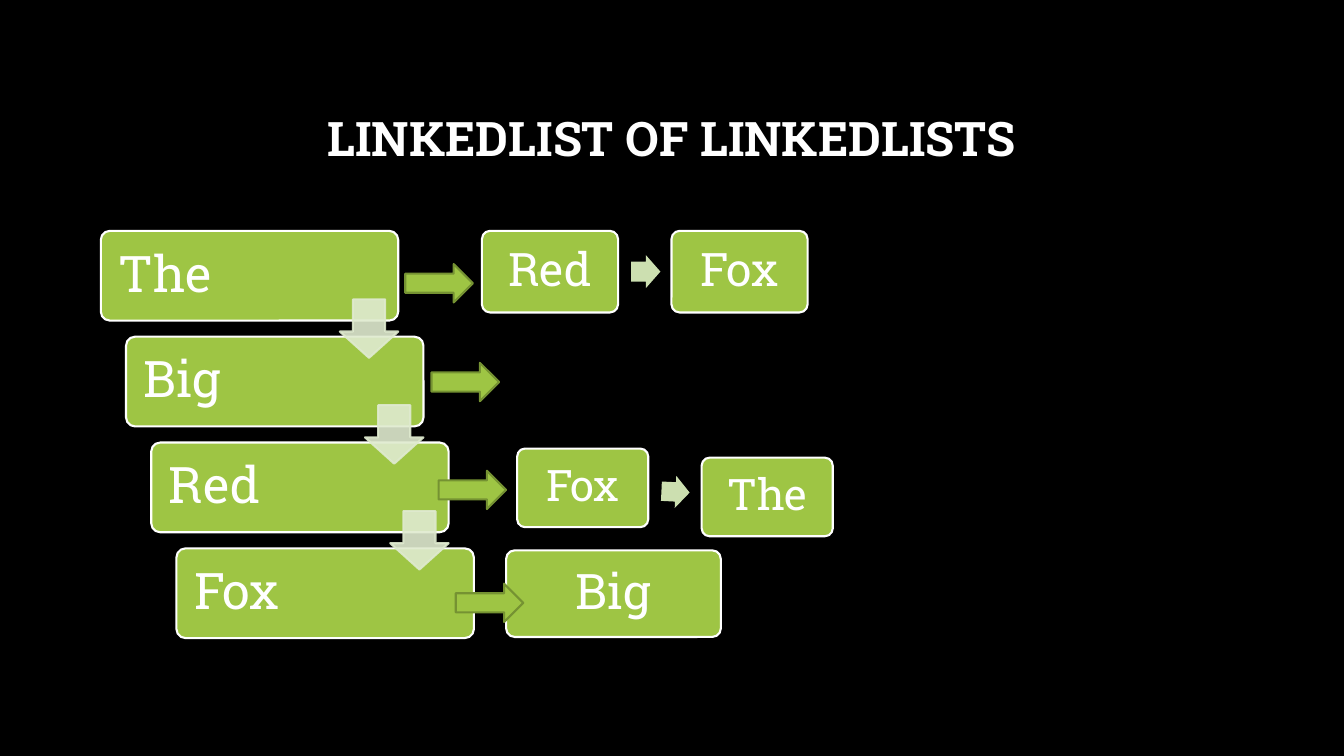
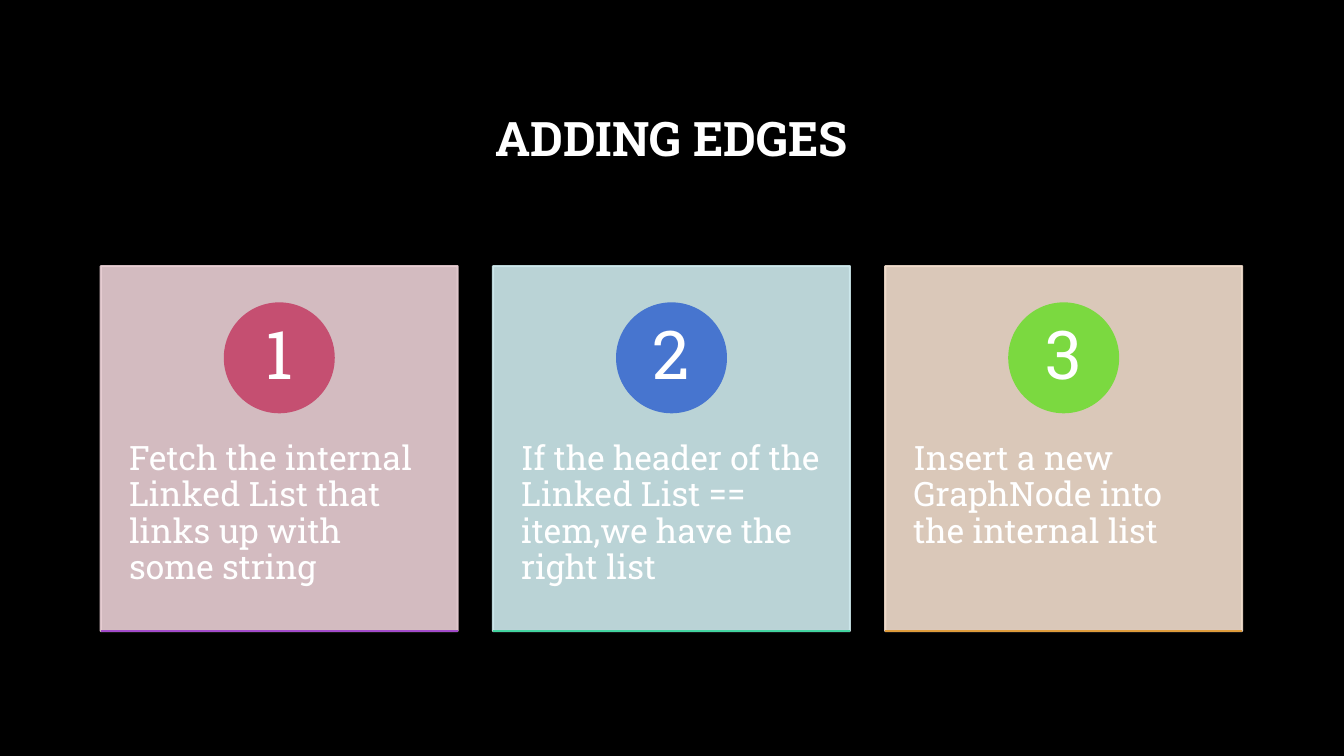
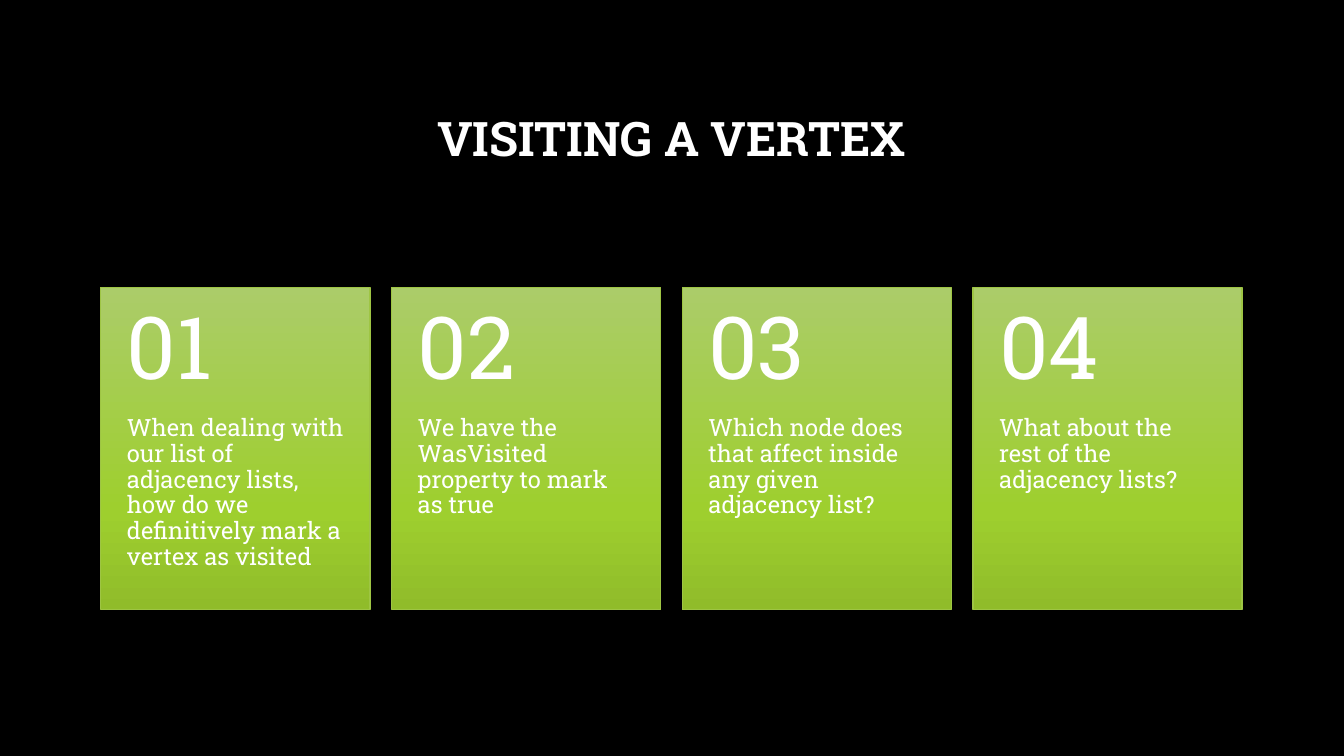
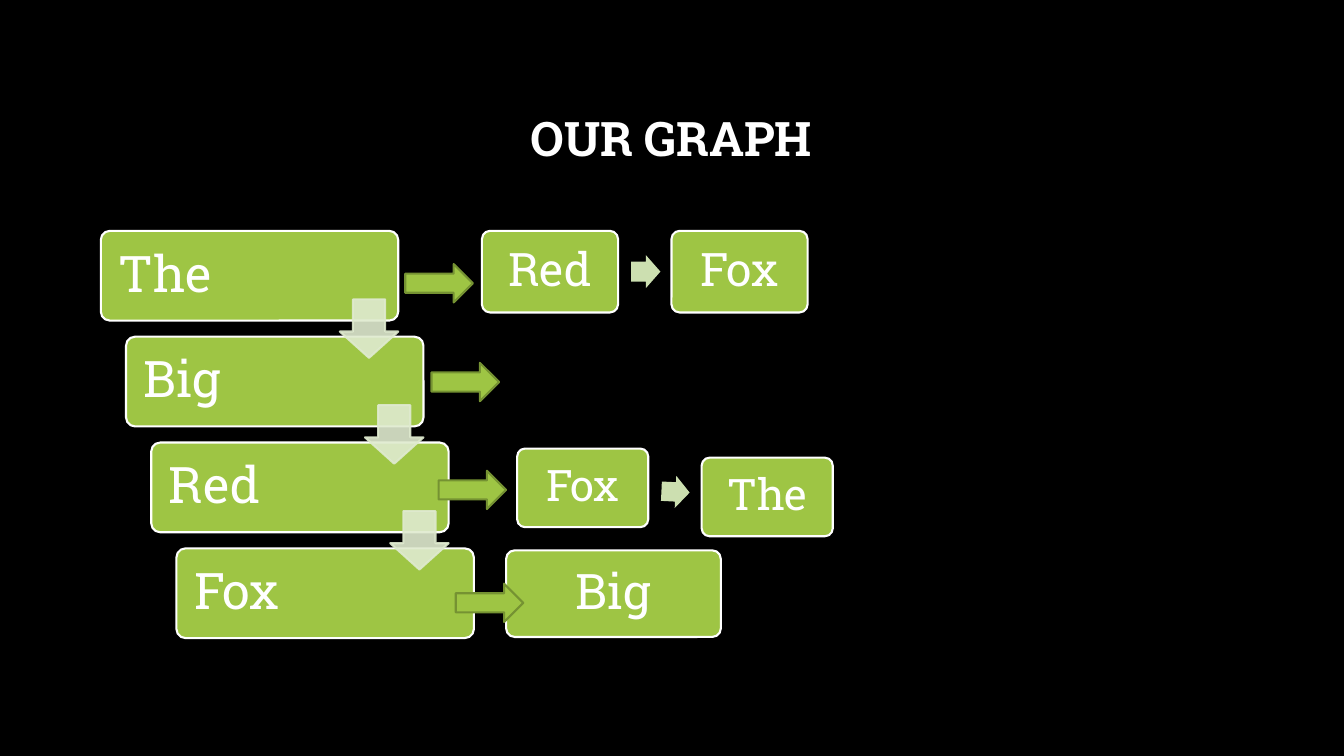
from copy import deepcopy
from dataclasses import dataclass
from typing import Optional

from lxml import etree
from pptx import Presentation
from pptx import slide as s
from pptx import util as u
from pptx.dml import color as c
from pptx.enum import shapes, text
from pptx.oxml import ns
from pptx.shapes import autoshape as a

FONT = "Roboto Slab"
COLORS = {
    "background": "000000",
    "white": "FFFFFF",
    "green": "9EC544",
    "dark_green": "759232",
    "pale_green": "CCDFB0",
    "mist": "DFEACF",
    "gradient_top": "ABCC69",
    "gradient_middle": "9ECF2E",
    "gradient_bottom": "90BC2A",
    "rose": "EAD0D5",
    "raspberry": "C54F71",
    "violet": "A24BCA",
    "ice": "CFEAEE",
    "blue": "4775CF",
    "mint": "43D4A0",
    "sand": "F2DECE",
    "lime": "7BD940",
    "amber": "DE9C3C",
}
CONTENT_LEFT = 1
CONTENT_WIDTH = 11.32
LEFT, CENTER = text.PP_ALIGN.LEFT, text.PP_ALIGN.CENTER
TOP, MIDDLE = text.MSO_ANCHOR.TOP, text.MSO_ANCHOR.MIDDLE
SHAPE = shapes.MSO_SHAPE


@dataclass(frozen=True)
class Box:
    left: float
    top: float
    width: float
    height: float

    def lengths(self) -> list[u.Length]:
        return [u.Inches(value) for value in (self.left, self.top, self.width, self.height)]


@dataclass(frozen=True)
class Look:
    kind: shapes.MSO_SHAPE
    fill: str
    line: Optional[str] = None
    adjustments: tuple[float, ...] = ()
    opacity: int = 100
    line_width: float = 1.5


@dataclass(frozen=True)
class Words:
    size: int
    align: text.PP_ALIGN = LEFT
    anchor: text.MSO_ANCHOR = MIDDLE
    insets: tuple[float, float, float, float] = (0.1, 0.05, 0.1, 0.05)
    bold: bool = False


@dataclass(frozen=True)
class Node:
    label: str
    box: Box
    words: Words


@dataclass(frozen=True)
class Step:
    label: str
    card: str
    badge: str
    underline: str


NODE = Look(SHAPE.ROUNDED_RECTANGLE, "green", "white", (0.1,))
DOWN_ARROW = Look(SHAPE.DOWN_ARROW, "mist", "mist", (0.55, 0.45), 90)
LINK_ARROW = Look(SHAPE.RIGHT_ARROW, "green", "dark_green")
SMALL_ARROW = Look(SHAPE.RIGHT_ARROW, "pale_green", None, (0.6, 0.5))

TITLE = Words(34, CENTER, bold=True)
HEADER_WORDS = Words(36, insets=(0.15,) * 4)
UPPER_WORDS = Words(33, CENTER, insets=(0.14,) * 4)
LOWER_WORDS = Words(31, CENTER, insets=(0.13,) * 4)
WIDE_WORDS = Words(35, CENTER, insets=(0.15,) * 4)
STEP_WORDS = Words(24, anchor=TOP, insets=(0.28, 1.74, 0.28, 0.36))
BADGE_WORDS = Words(48, CENTER, insets=(0.08, 0.01, 0.08, 0.01))
QUESTION_WORDS = Words(17, anchor=TOP, insets=(0.26, 1.28, 0.26, 0.36))
NUMBER_WORDS = Words(62, insets=(0.26, 0.18, 0.26, 0.18))

HEADERS = ["The", "Big", "Red", "Fox"]
LINKED_NODES = [
    Node("Red", Box(4.78, 2.29, 1.35, 0.81), UPPER_WORDS),
    Node("Fox", Box(6.66, 2.29, 1.35, 0.81), UPPER_WORDS),
    Node("Fox", Box(5.13, 4.45, 1.3, 0.78), LOWER_WORDS),
    Node("The", Box(6.96, 4.54, 1.3, 0.78), LOWER_WORDS),
    Node("Big", Box(5.02, 5.46, 2.13, 0.86), WIDE_WORDS),
]
LINK_POSITIONS = [(4.02, 2.62), (4.28, 3.6), (4.35, 4.67), (4.52, 5.79)]
STEPS = [
    Step("Fetch the internal Linked List that links up with some string",
         "rose", "raspberry", "violet"),
    Step("If the header of the Linked List == item,we have the right list",
         "ice", "blue", "mint"),
    Step("Insert a new GraphNode into the internal list",
         "sand", "lime", "amber"),
]
QUESTIONS = [
    "When dealing with our list of adjacency lists, how do we definitively mark a vertex as visited",
    "We have the WasVisited property to mark as true",
    "Which node does that affect inside any given adjacency list?",
    "What about the rest of the adjacency lists?",
]


def rgb(name: str) -> c.RGBColor:
    return c.RGBColor.from_string(COLORS[name])


def assign(target: object, values: dict[str, object]) -> None:
    for name, value in values.items():
        setattr(target, name, value)


def write(shape: a.Shape, label: str, words: Words) -> None:
    frame = shape.text_frame
    left, top, right, bottom = (u.Inches(inset) for inset in words.insets)
    assign(frame, {
        "word_wrap": True,
        "vertical_anchor": words.anchor,
        "margin_left": left,
        "margin_top": top,
        "margin_right": right,
        "margin_bottom": bottom,
    })
    paragraph = frame.paragraphs[0]
    assign(paragraph, {"alignment": words.align, "line_spacing": 0.9})
    run = paragraph.add_run()
    run.text = label
    assign(run.font, {"name": FONT, "size": u.Pt(words.size), "bold": words.bold})
    run.font.color.rgb = rgb("white")


def add_text(slide: s.Slide, box: Box, label: str, words: Words) -> None:
    write(slide.shapes.add_textbox(*box.lengths()), label, words)


def add_shape(slide: s.Slide, box: Box, look: Look) -> a.Shape:
    shape = slide.shapes.add_shape(look.kind, *box.lengths())
    shape.shadow.inherit = False
    for index, value in enumerate(look.adjustments):
        shape.adjustments[index] = value
    shape.fill.solid()
    shape.fill.fore_color.rgb = rgb(look.fill)
    if look.line:
        shape.line.color.rgb = rgb(look.line)
        shape.line.width = u.Pt(look.line_width)
    else:
        shape.line.fill.background()
    if look.opacity < 100:
        for color in shape.element.spPr.iter(ns.qn("a:srgbClr")):
            etree.SubElement(color, ns.qn("a:alpha"), val=str(look.opacity * 1000))
    return shape


def add_underline(slide: s.Slide, left: float, top: float, width: float, color: str) -> None:
    ends = [u.Inches(value) for value in (left, top, left + width, top)]
    connector = slide.shapes.add_connector(shapes.MSO_CONNECTOR.STRAIGHT, *ends)
    connector.line.color.rgb = rgb(color)
    connector.line.width = u.Pt(1.5)
    etree.SubElement(connector.element.spPr, ns.qn("a:effectLst"))


def apply_gradient(shape: a.Shape) -> None:
    shape.fill.gradient()
    shape.fill.gradient_angle = 270
    stop_list = next(shape.element.spPr.iter(ns.qn("a:gsLst")))
    stop_list.append(deepcopy(stop_list[-1]))
    colors = [(0, "gradient_top"), (0.69, "gradient_middle"), (1, "gradient_bottom")]
    for stop, (position, color) in zip(shape.fill.gradient_stops, colors):
        stop.position = position
        stop.color.rgb = rgb(color)


def column_lefts(count: int, width: float) -> list[float]:
    pitch = (CONTENT_WIDTH - width) / (count - 1)
    return [CONTENT_LEFT + index * pitch for index in range(count)]


def add_slide(presentation: Presentation, title: str) -> s.Slide:
    slide = presentation.slides.add_slide(presentation.slide_layouts[6])
    add_text(slide, Box(CONTENT_LEFT, 0.67, CONTENT_WIDTH, 1.45), title, TITLE)
    return slide


def add_node(slide: s.Slide, node: Node) -> None:
    write(add_shape(slide, node.box, NODE), node.label, node.words)


def add_graph_slide(presentation: Presentation, title: str) -> None:
    slide = add_slide(presentation, title)
    across, down = 0.25, 1.05
    for row, label in enumerate(HEADERS):
        box = Box(CONTENT_LEFT + row * across, 2.29 + row * down, 2.95, 0.89)
        add_node(slide, Node(label, box, HEADER_WORDS))
    for row in range(len(HEADERS) - 1):
        add_shape(slide, Box(3.37 + row * across, 2.97 + row * down, 0.58, 0.58), DOWN_ARROW)
    for node in LINKED_NODES:
        add_node(slide, node)
    add_shape(slide, Box(6.26, 2.53, 0.29, 0.33), SMALL_ARROW)
    add_shape(slide, Box(6.56, 4.72, 0.28, 0.32), SMALL_ARROW).rotation = 2.8
    for left, top in LINK_POSITIONS:
        add_shape(slide, Box(left, top, 0.67, 0.38), LINK_ARROW)


def add_steps_slide(presentation: Presentation, title: str) -> None:
    slide = add_slide(presentation, title)
    top, width, height, badge_size = 2.64, 3.54, 3.62, 1.08
    for number, (left, step) in enumerate(zip(column_lefts(len(STEPS), width), STEPS), 1):
        card = Look(SHAPE.RECTANGLE, step.card, step.card, opacity=90)
        write(add_shape(slide, Box(left, top, width, height), card), step.label, STEP_WORDS)
        badge_box = Box(left + (width - badge_size) / 2, 3.01, badge_size, badge_size)
        badge = add_shape(slide, badge_box, Look(SHAPE.OVAL, step.badge, step.badge))
        write(badge, str(number), BADGE_WORDS)
        add_underline(slide, left, top + height, width, step.underline)


def add_questions_slide(presentation: Presentation, title: str) -> None:
    slide = add_slide(presentation, title)
    top, width = 2.85, 2.67
    look = Look(SHAPE.RECTANGLE, "green", "green", line_width=1)
    lefts = column_lefts(len(QUESTIONS), width)
    for number, (left, question) in enumerate(zip(lefts, QUESTIONS), 1):
        card = add_shape(slide, Box(left, top, width, 3.2), look)
        apply_gradient(card)
        write(card, question, QUESTION_WORDS)
        add_text(slide, Box(left, top, width, 1.28), f"{number:02}", NUMBER_WORDS)


def main() -> None:
    presentation = Presentation()
    assign(presentation, {"slide_width": u.Inches(13.33), "slide_height": u.Inches(7.5)})
    background = presentation.slide_master.background.fill
    background.solid()
    background.fore_color.rgb = rgb("background")
    add_graph_slide(presentation, "LINKEDLIST OF LINKEDLISTS")
    add_steps_slide(presentation, "ADDING EDGES")
    add_questions_slide(presentation, "VISITING A VERTEX")
    add_graph_slide(presentation, "OUR GRAPH")
    presentation.save("out.pptx")


if __name__ == "__main__":
    main()
